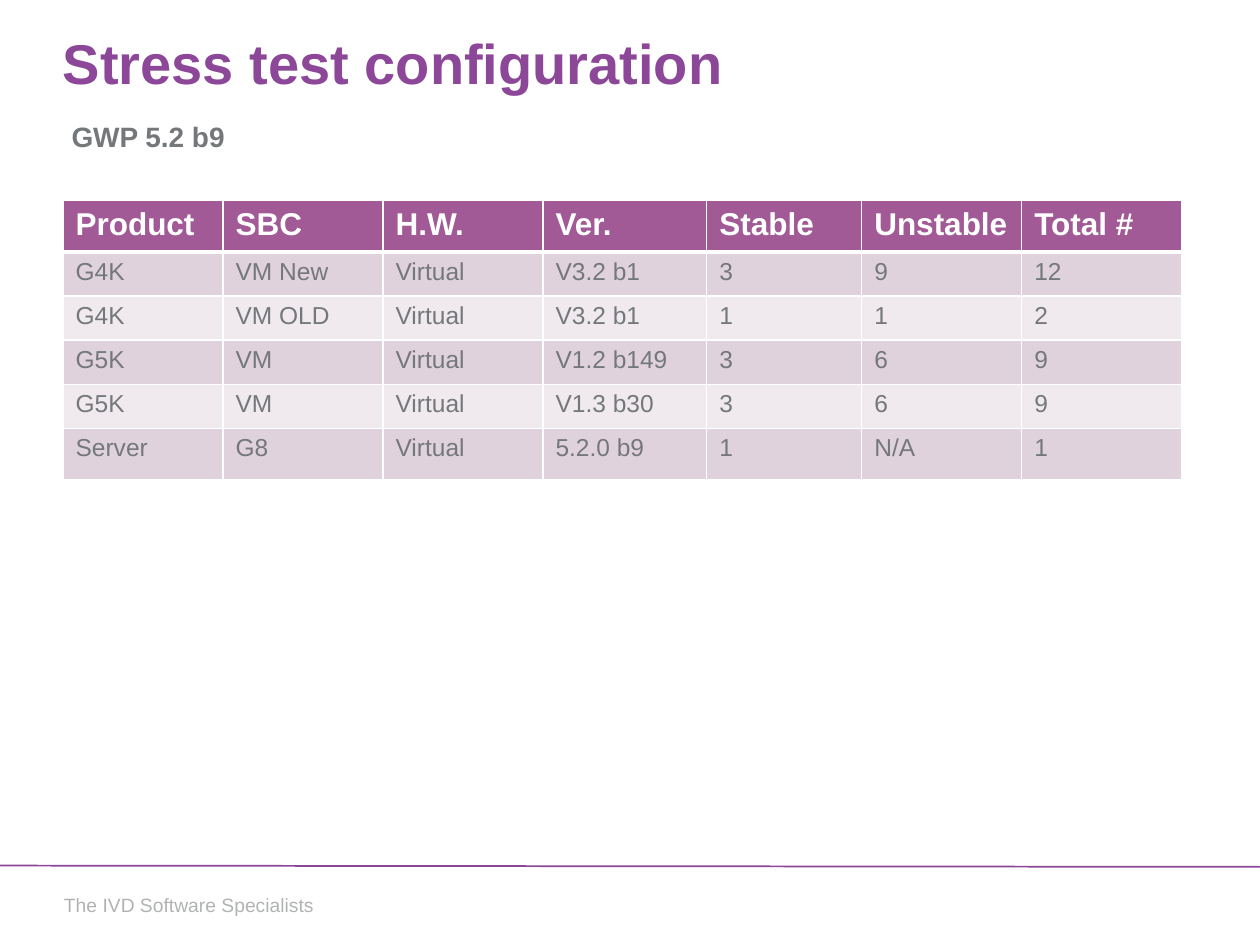
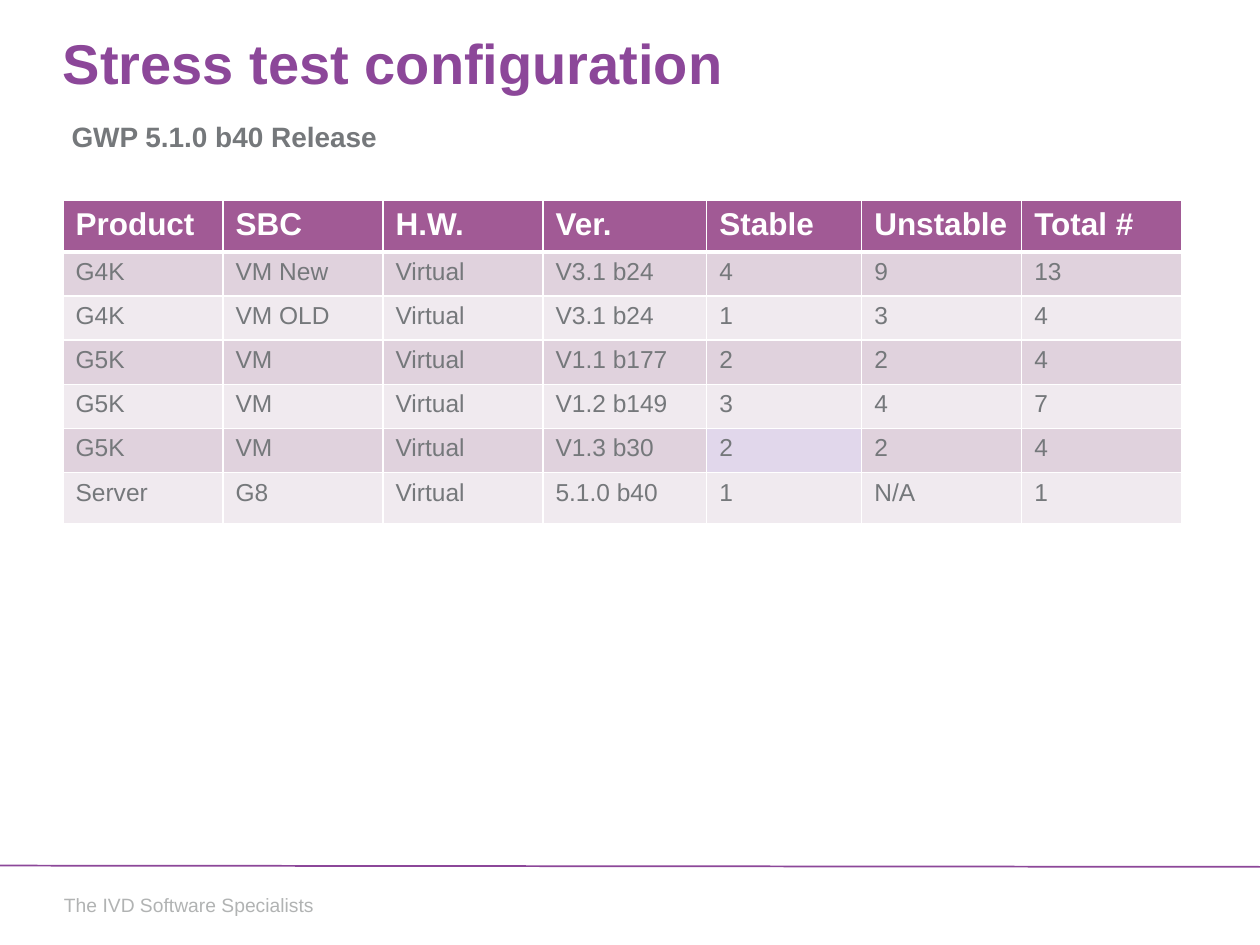
from pptx import Presentation
from pptx.dml.color import RGBColor
from pptx.enum.shapes import MSO_CONNECTOR
from pptx.oxml.ns import qn
from pptx.util import Inches, Pt
from lxml import etree

STRAIGHT = MSO_CONNECTOR.STRAIGHT
FONT = "Arial"
COLORS = {
    "purple": "8C4799",
    "header": "A15A95",
    "band_dark": "E0D2DD",
    "band_light": "F0EAEF",
    "highlight": "E1D7EB",
    "text": "75787B",
    "footer": "B1B3B3",
    "white": "FFFFFF",
}

TITLE = "Stress test configuration"
FOOTER = "The IVD Software Specialists"
HEADER = ["Product", "SBC", "H.W.", "Ver.", "Stable", "Unstable", "Total #"]
COL_WIDTHS = [1.27, 1.27, 1.27, 1.3, 1.23, 1.27, 1.27]
END_ROW, BODY_ROW = 0.41, 0.35  # first and last rows are taller

# Subtitle, rows and highlighted (row, column) cells of each slide
CONFIGS = [
    ("GWP 5.2 b9", [
        ["G4K", "VM New", "Virtual", "V3.2 b1", "3", "9", "12"],
        ["G4K", "VM OLD", "Virtual", "V3.2 b1", "1", "1", "2"],
        ["G5K", "VM", "Virtual", "V1.2 b149", "3", "6", "9"],
        ["G5K", "VM", "Virtual", "V1.3 b30", "3", "6", "9"],
        ["Server", "G8", "Virtual", "5.2.0 b9", "1", "N/A", "1"],
    ], []),
    ("GWP 5.1.0 b40 Release", [
        ["G4K", "VM New", "Virtual", "V3.1 b24", "4", "9", "13"],
        ["G4K", "VM OLD", "Virtual", "V3.1 b24", "1", "3", "4"],
        ["G5K", "VM", "Virtual", "V1.1 b177", "2", "2", "4"],
        ["G5K", "VM", "Virtual", "V1.2 b149", "3", "4", "7"],
        ["G5K", "VM", "Virtual", "V1.3 b30", "2", "2", "4"],
        ["Server", "G8", "Virtual", "5.1.0 b40", "1", "N/A", "1"],
    ], [(5, 4)]),
]


def rgb(name):
    return RGBColor.from_string(COLORS[name])


def write(tf, text, size, color, bold=False):
    tf.text = text
    font = tf.paragraphs[0].runs[0].font
    font.name, font.size, font.bold = FONT, Pt(size), bold
    font.color.rgb = rgb(color)


def add_text(s, box, text, size, color, bold=False, left=0.1, top=0.05):
    sp = s.shapes.add_textbox(*map(Inches, box))
    tf = sp.text_frame
    tf.word_wrap = True
    tf.margin_left = tf.margin_right = Inches(left)
    tf.margin_top = Inches(top)
    write(tf, text, size, color, bold)


def set_borders(cell, top, bottom):
    """Draw white borders, with the top and bottom widths in points."""
    tc_pr = cell._tc.get_or_add_tcPr()
    sides = [("a:lnL", 1), ("a:lnR", 1), ("a:lnT", top), ("a:lnB", bottom)]
    for i, (tag, width) in enumerate(sides):
        ln = etree.Element(qn(tag), w=str(Pt(width)))
        fill = etree.SubElement(ln, qn("a:solidFill"))
        etree.SubElement(fill, qn("a:srgbClr"), val=COLORS["white"])
        tc_pr.insert(i, ln)  # borders come before the fill


def add_frame(s):
    # Footer text and the rule above it
    add_text(s, (0.41, 7.04, 2.4, 0.29), FOOTER, 11, "footer")
    rule = s.shapes.add_connector(STRAIGHT, 0, Inches(6.87), Inches(10), Inches(6.88))
    rule.line.color.rgb = rgb("purple")
    rule.line.width = Pt(1)
    etree.SubElement(rule._element.spPr, qn("a:effectLst"))
    # Title
    add_text(s, (0.5, 0.19, 9, 0.47), TITLE, 32, "purple", True, left=0, top=0.04)


def add_config_table(s, left, top, rows, highlights):
    data = [HEADER] + rows
    heights = [END_ROW] + [BODY_ROW] * (len(rows) - 1) + [END_ROW]
    table = s.shapes.add_table(
        len(data), len(HEADER), Inches(left), Inches(top),
        Inches(sum(COL_WIDTHS)), Inches(sum(heights))).table
    for col, width in zip(table.columns, COL_WIDTHS):
        col.width = Inches(width)
    for r, (values, height) in enumerate(zip(data, heights)):
        table.rows[r].height = Inches(height)
        band = "header" if r == 0 else "band_dark" if r % 2 else "band_light"
        for c, value in enumerate(values):
            cell = table.cell(r, c)
            cell.fill.solid()
            cell.fill.fore_color.rgb = rgb("highlight" if (r, c) in highlights else band)
            set_borders(cell, 3 if r == 1 else 1, 3 if r == 0 else 1)
            if r == 0:
                write(cell.text_frame, value, 18, "white", True)
            else:
                write(cell.text_frame, value, 14, "text")


def add_config_slide(prs, subtitle, rows, highlights):
    s = prs.slides.add_slide(prs.slide_layouts[6])
    add_frame(s)
    add_config_table(s, 0.5, 1.59, rows, highlights)
    add_text(s, (0.47, 0.76, 6.7, 0.36), subtitle, 16, "text", True, top=0.19)


def main():
    prs = Presentation()
    prs.slide_width, prs.slide_height = Inches(10), Inches(7.5)
    for config in CONFIGS:
        add_config_slide(prs, *config)
    prs.save("out.pptx")


if __name__ == "__main__":
    main()
